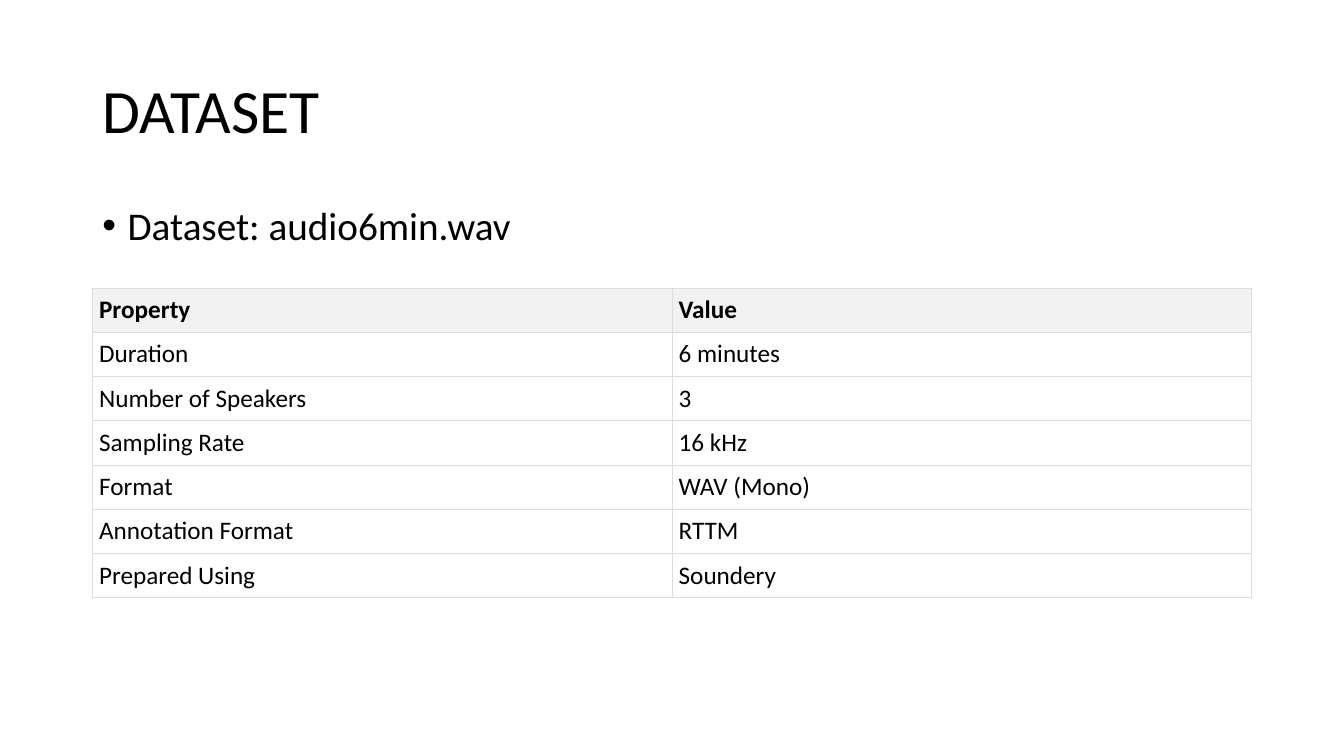
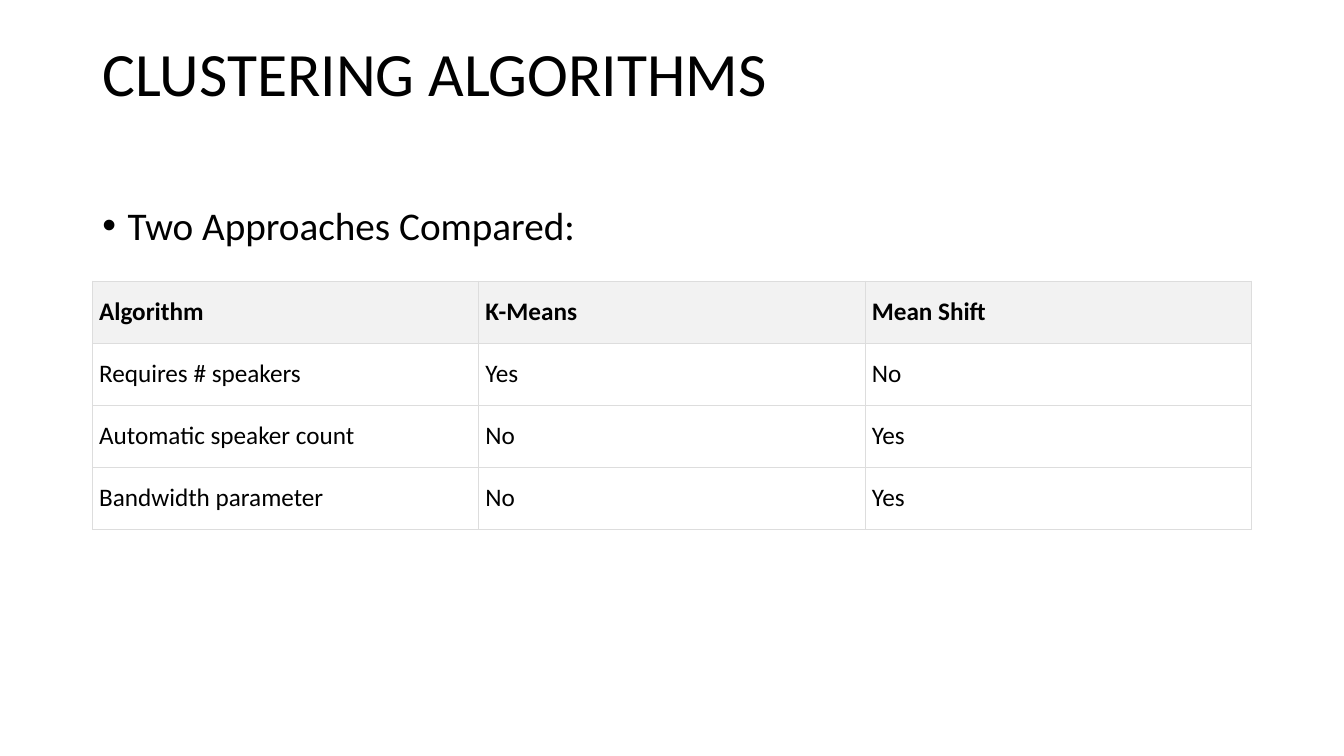
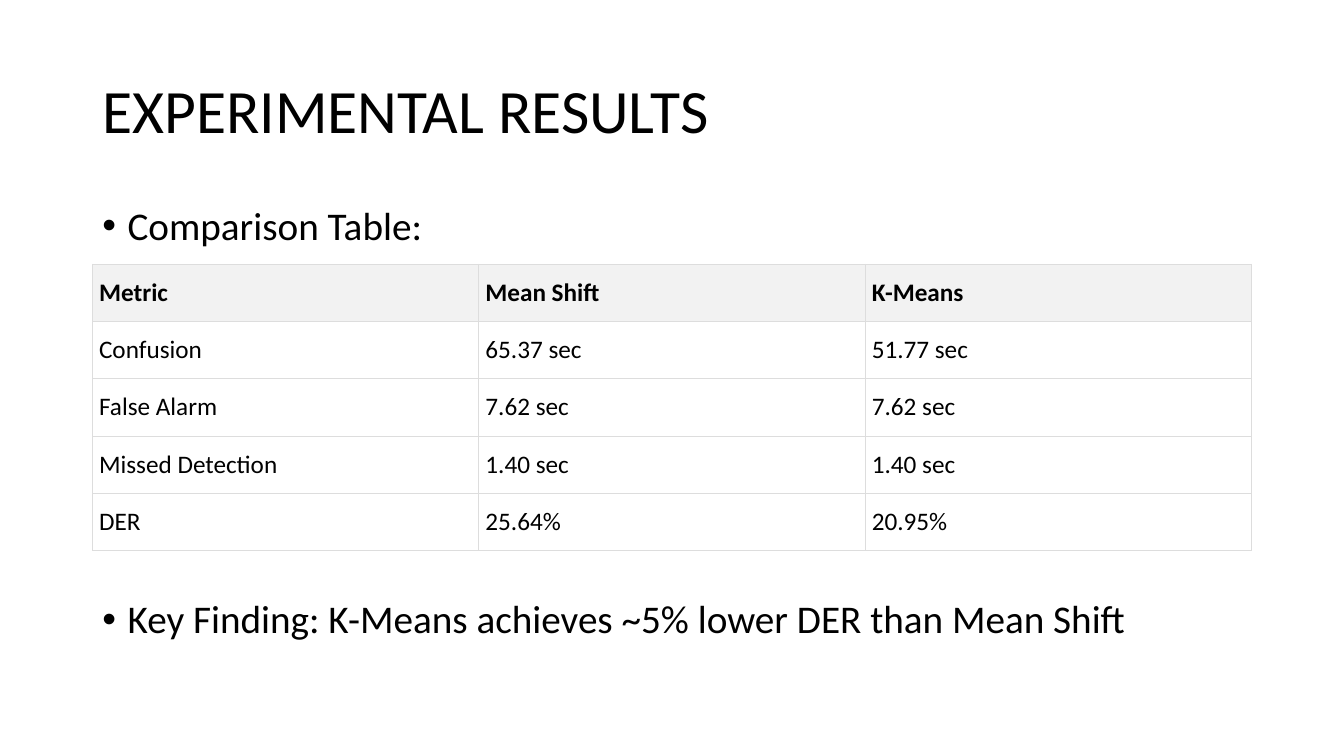
from dataclasses import dataclass
from typing import Any

import pptx
import pptx.dml.color
import pptx.enum.text
import pptx.oxml
import pptx.oxml.ns
import pptx.util

Pt = pptx.util.Pt
Align = pptx.enum.text.PP_ALIGN
Anchor = pptx.enum.text.MSO_ANCHOR


@dataclass(frozen=True)
class Theme:
    font: str = "Calibri"
    ink: str = "000000"
    header_fill: str = "F2F2F2"
    border: str = "DDDDDD"
    border_width: float = 0.6
    title_size: float = 44
    body_size: float = 28
    table_size: float = 18
    line_spacing: float = 0.9
    bullet_indent: float = 18
    cell_inset: float = 4.8


@dataclass(frozen=True)
class Box:
    left: float
    top: float
    width: float
    height: float


@dataclass(frozen=True)
class Bullet:
    text: str
    space_before: float = 10
    align: Any = Align.LEFT


@dataclass(frozen=True)
class TablePage:
    title: str
    bullets: list[Bullet]
    table_top: float
    row_height: float
    rows: list[list[str]]
    title_bottom_inset: float = 3.6


THEME = Theme()
TITLE_BOX = Box(66, 28.75, 828, 104.4)
BODY_BOX = Box(66, 143.75, 828, 342.6)

PAGES = [
    TablePage(
        "DATASET",
        [Bullet("Dataset: audio6min.wav", align=Align.JUSTIFY)],
        205.75,
        31.6,
        [
            ["Property", "Value"],
            ["Duration", "6 minutes"],
            ["Number of Speakers", "3"],
            ["Sampling Rate", "16 kHz"],
            ["Format", "WAV (Mono)"],
            ["Annotation Format", "RTTM"],
            ["Prepared Using", "Soundery"],
        ],
    ),
    TablePage(
        "CLUSTERING ALGORITHMS",
        [Bullet("Two Approaches Compared:")],
        200.75,
        44.28,
        [
            ["Algorithm", "K-Means", "Mean Shift"],
            ["Requires # speakers", "Yes", "No"],
            ["Automatic speaker count", "No", "Yes"],
            ["Bandwidth parameter", "No", "Yes"],
        ],
        title_bottom_inset=56.6,
    ),
    TablePage(
        "EXPERIMENTAL RESULTS",
        [
            Bullet("Comparison Table:"),
            Bullet("Key Finding: K-Means achieves ~5% lower DER than Mean Shift", space_before=251),
        ],
        188.75,
        40.9,
        [
            ["Metric", "Mean Shift", "K-Means"],
            ["Confusion", "65.37 sec", "51.77 sec"],
            ["False Alarm", "7.62 sec", "7.62 sec"],
            ["Missed Detection", "1.40 sec", "1.40 sec"],
            ["DER", "25.64%", "20.95%"],
        ],
    ),
]


def rgb(value: str) -> pptx.dml.color.RGBColor:
    return pptx.dml.color.RGBColor.from_string(value)


def write(para: Any, text: str, *, size: float, bold: bool = False, align: Any = Align.LEFT,
          line_spacing: float = 1.0, space_before: float = 0) -> None:
    para.alignment = align
    para.line_spacing = line_spacing
    para.space_before = Pt(space_before)
    span = para.add_run()
    span.text = text
    span.font.name = THEME.font
    span.font.size = Pt(size)
    span.font.bold = bold
    span.font.color.rgb = rgb(THEME.ink)


def place(shape: Any, box: Box, anchor: Any) -> Any:
    """Move a placeholder and return its text frame."""
    shape.left, shape.top = Pt(box.left), Pt(box.top)
    shape.width, shape.height = Pt(box.width), Pt(box.height)
    frame = shape.text_frame
    frame.auto_size = pptx.enum.text.MSO_AUTO_SIZE.NONE
    frame.vertical_anchor = anchor
    return frame


def add_bullet_mark(para: Any) -> None:
    properties = para._p.get_or_add_pPr()
    properties.set("marL", str(Pt(THEME.bullet_indent)))
    properties.set("indent", str(-Pt(THEME.bullet_indent)))
    namespace = pptx.oxml.ns.nsdecls("a")
    for xml in (f'<a:buFont {namespace} typeface="Arial"/>', f'<a:buChar {namespace} char="•"/>'):
        properties.append(pptx.oxml.parse_xml(xml))


def add_borders(cell: Any) -> None:
    properties = cell._tc.get_or_add_tcPr()
    for side in ("lnL", "lnR", "lnT", "lnB"):
        properties.append(pptx.oxml.parse_xml(
            f'<a:{side} {pptx.oxml.ns.nsdecls("a")} w="{Pt(THEME.border_width)}">'
            f'<a:solidFill><a:srgbClr val="{THEME.border}"/></a:solidFill></a:{side}>'))


def format_cell(cell: Any, text: str, is_header: bool) -> None:
    inset = Pt(THEME.cell_inset)
    cell.margin_left = cell.margin_right = cell.margin_top = cell.margin_bottom = inset
    cell.vertical_anchor = Anchor.MIDDLE
    add_borders(cell)
    if is_header:
        cell.fill.solid()
        cell.fill.fore_color.rgb = rgb(THEME.header_fill)
    else:
        cell.fill.background()
    write(cell.text_frame.paragraphs[0], text, size=THEME.table_size, bold=is_header)


def add_table(slide: Any, page: TablePage) -> None:
    row_count, column_count = len(page.rows), len(page.rows[0])
    table = slide.shapes.add_table(
        row_count, column_count, Pt(BODY_BOX.left), Pt(page.table_top),
        Pt(BODY_BOX.width), Pt(page.row_height * row_count)).table
    table.horz_banding = False
    for column in table.columns:
        column.width = Pt(BODY_BOX.width / column_count)
    for row_index, values in enumerate(page.rows):
        table.rows[row_index].height = Pt(page.row_height)
        for column_index, text in enumerate(values):
            format_cell(table.cell(row_index, column_index), text, row_index == 0)


def add_page(deck: Any, page: TablePage) -> None:
    slide = deck.slides.add_slide(deck.slide_layouts[1])
    title = place(slide.shapes.title, TITLE_BOX, Anchor.MIDDLE)
    title.margin_bottom = Pt(page.title_bottom_inset)
    write(title.paragraphs[0], page.title, size=THEME.title_size, line_spacing=THEME.line_spacing)

    body = place(slide.placeholders[1], BODY_BOX, Anchor.TOP)
    for index, bullet in enumerate(page.bullets):
        para = body.add_paragraph() if index else body.paragraphs[0]
        write(para, bullet.text, size=THEME.body_size, align=bullet.align,
              line_spacing=THEME.line_spacing, space_before=bullet.space_before)
        add_bullet_mark(para)
    add_table(slide, page)


def main() -> None:
    deck = pptx.Presentation()
    deck.slide_width, deck.slide_height = Pt(960), Pt(540)
    for page in PAGES:
        add_page(deck, page)
    deck.save("out.pptx")


if __name__ == "__main__":
    main()
